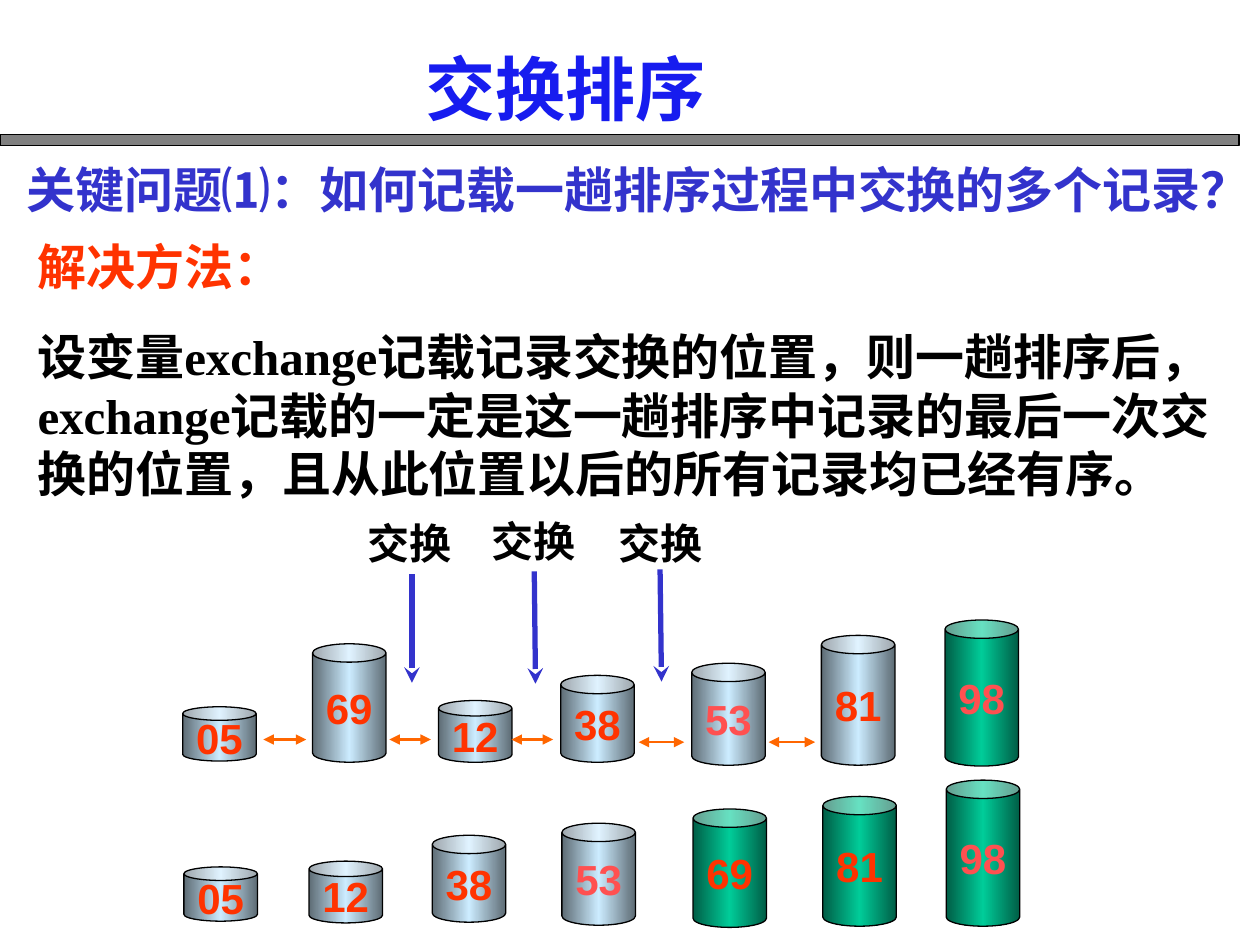
from lxml.etree import SubElement
from pptx import Presentation
from pptx.dml.color import RGBColor
from pptx.enum.shapes import MSO_CONNECTOR, MSO_SHAPE
from pptx.enum.text import MSO_ANCHOR, MSO_AUTO_SIZE, PP_ALIGN
from pptx.oxml import parse_xml
from pptx.oxml.ns import nsdecls, qn
from pptx.util import Pt

COLOURS = {
    "black": "000000", "grey": "808080", "title": "171CEF", "blue": "3333CC",
    "red": "FF3300", "pink": "FF5050", "orange": "FF6600",
    "steel": "CCECFF", "steel edge": "5E6C75",
    "green": "00CC99", "green edge": "005E46",
}
CJK_FONT = "Noto Sans CJK SC"
CYLINDER_HEIGHTS = {"05": 31, "12": 35.3, "38": 49.7, "53": 58.3,
                    "69": 67.7, "81": 74.2, "98": 83.5}
CYLINDER_WIDTH = 42


class SlideStyle:
    """Holds the slide and draws its elements in one style."""

    def __init__(self, slide):
        self.shapes = slide.shapes

    def colour(self, name):
        return RGBColor.from_string(COLOURS[name])

    def format_runs(self, para, size, font, colour):
        for span in para.runs:
            span.font.size = Pt(size)
            span.font.bold = True
            span.font.name = font
            span.font.color.rgb = self.colour(colour)
            SubElement(span.font._element, qn("a:ea"), typeface=CJK_FONT)

    def text(self, left, top, width, height, lines, size, font, gap=0):
        box = self.shapes.add_textbox(Pt(left), Pt(top), Pt(width), Pt(height))
        frame = box.text_frame
        frame.word_wrap = True
        frame.auto_size = MSO_AUTO_SIZE.SHAPE_TO_FIT_TEXT
        frame.text = "\n".join(words for words, _ in lines)
        for para, (_, colour) in zip(frame.paragraphs, lines):
            self.format_runs(para, size, font, colour)
        for para in frame.paragraphs[1:]:
            para.space_before = Pt(gap)
        return box

    def text_shadow(self, box):
        shadow = (f'<a:effectLst {nsdecls("a")}><a:outerShdw dist="38100" dir="2700000">'
                  f'<a:srgbClr val="{COLOURS["grey"]}"/></a:outerShdw></a:effectLst>')
        for span in box.text_frame.paragraphs[0].runs:
            span.font._element.find(qn("a:solidFill")).addnext(parse_xml(shadow))

    def shape(self, kind, left, top, width, height):
        shape = self.shapes.add_shape(kind, Pt(left), Pt(top), Pt(width), Pt(height))
        shape.shadow.inherit = False
        shape.line.color.rgb = self.colour("black")
        shape.line.width = Pt(0.75)
        return shape

    def bar(self, left, top, width, height):
        bar = self.shape(MSO_SHAPE.RECTANGLE, left, top, width, height)
        bar.fill.solid()
        bar.fill.fore_color.rgb = self.colour("grey")

    def cylinder(self, left, bottom, value, tone):
        height = CYLINDER_HEIGHTS[value]
        can = self.shape(MSO_SHAPE.CAN, left, bottom - height, CYLINDER_WIDTH, height)
        can.fill.gradient()
        can.fill.gradient_angle = 0
        stops = can._element.spPr.find(qn("a:gradFill")).find(qn("a:gsLst"))
        stops.clear()
        for position, name in ((0, f"{tone} edge"), (50000, tone), (100000, f"{tone} edge")):
            stop = SubElement(stops, qn("a:gs"), pos=str(position))
            SubElement(stop, qn("a:srgbClr"), val=COLOURS[name])
        frame = can.text_frame
        frame.word_wrap = False
        frame.vertical_anchor = MSO_ANCHOR.MIDDLE
        frame.text = value
        para = frame.paragraphs[0]
        para.alignment = PP_ALIGN.CENTER
        self.format_runs(para, 24, "Arial", "pink" if value in ("53", "98") else "red")

    def arrow(self, start, end, colour, width, **ends):
        line = self.shapes.add_connector(MSO_CONNECTOR.STRAIGHT, *map(Pt, start + end))
        line.line.color.rgb = self.colour(colour)
        line.line.width = Pt(width)
        for tag, kind in ends.items():
            SubElement(line.line._get_or_add_ln(), qn(f"a:{tag}"), type=kind)
        SubElement(line._element.spPr, qn("a:effectLst"))


def main():
    deck = Presentation()
    deck.slide_width, deck.slide_height = Pt(720), Pt(540)
    page = SlideStyle(deck.slides.add_slide(deck.slide_layouts[6]))

    page.bar(0, 77, 708, 6)
    page.text(14.4, 131.8, 705.6, 159, [
        ("解决方法：", "red"),
        ("设变量exchange记载记录交换的位置，则一趟排序后，exchange记载的一定是这一趟"
         "排序中记录的最后一次交换的位置，且从此位置以后的所有记录均已经有序。", "black"),
    ], 28, "Times New Roman", 17.5)
    title = page.text(236.2, 22.3, 228, 55.4, [("交换排序", "title")], 40, CJK_FONT)
    page.text_shadow(title)
    page.text(7.9, 87.8, 726.5, 41,
              [("关键问题⑴：如何记载一趟排序过程中交换的多个记录？", "blue")], 28, CJK_FONT)

    before = [("05", 104.4, 434.9), ("69", 178.6, 435.6), ("12", 250.6, 435.6),
              ("38", 320.4, 435.6), ("53", 395.3, 437.3), ("81", 469.4, 437.3),
              ("98", 540, 437.8)]
    after = [("05", 105.1, 526.4), ("12", 176.6, 527.4), ("38", 247, 527),
             ("53", 321.1, 528.7), ("69", 396, 530), ("81", 470.2, 529.3),
             ("98", 540.7, 529.3)]
    for row, sorted_values in ((before, ("98",)), (after, ("69", "81", "98"))):
        for value, left, bottom in row:
            page.cylinder(left, bottom, value, "green" if value in sorted_values else "steel")

    for left, right, y in ((150.5, 175, 422.6), (222.5, 246.2, 422.6), (292.3, 316.1, 422.6),
                           (365, 391, 424.1), (439.2, 465.8, 424.1)):
        page.arrow((left, y), (right, y), "orange", 1.5, headEnd="triangle", tailEnd="triangle")

    for left, top, start, end in ((203, 291.9, (235.4, 328.3), (235.4, 390.2)),
                                  (273.6, 291, (305.3, 326.5), (306, 390.7)),
                                  (346.5, 291.9, (377.2, 325.4), (378, 389.5))):
        page.text(left, top, 85, 36, [("交换", "black")], 24, "Arial")
        page.arrow(start, end, "blue", 3, tailEnd="stealth")

    deck.save("out.pptx")


if __name__ == "__main__":
    main()
